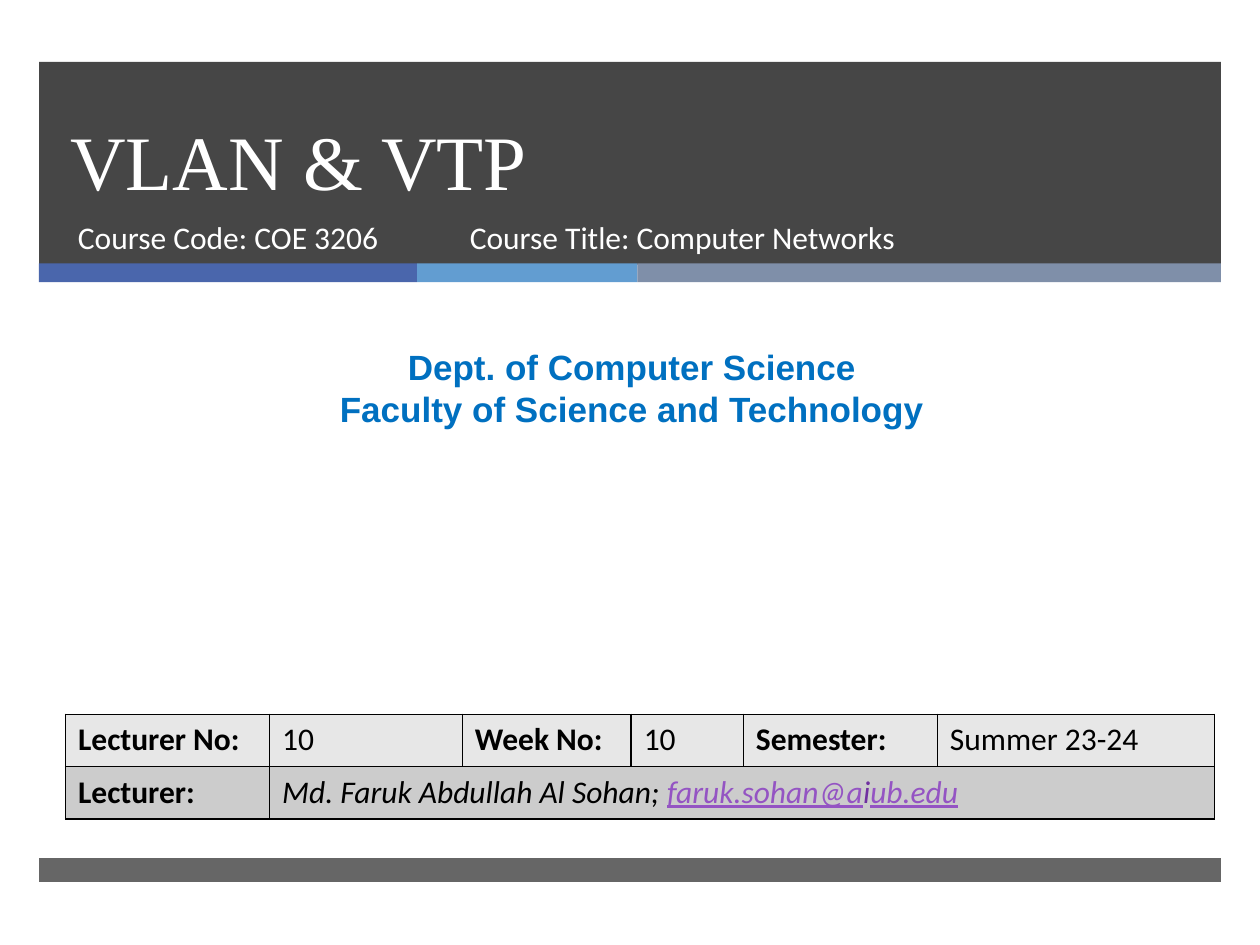
from lxml import etree
from pptx import Presentation
from pptx.dml.color import RGBColor
from pptx.enum.shapes import MSO_SHAPE
from pptx.enum.text import MSO_ANCHOR, PP_ALIGN
from pptx.oxml.ns import qn
from pptx.util import Inches, Pt

RECT = MSO_SHAPE.RECTANGLE
TOP, BOTTOM = MSO_ANCHOR.TOP, MSO_ANCHOR.BOTTOM
LEFT, CENTER = PP_ALIGN.LEFT, PP_ALIGN.CENTER

WHITE = RGBColor(0xFF, 0xFF, 0xFF)
BLACK = RGBColor(0, 0, 0)
DARK = RGBColor(0x26, 0x26, 0x26)
NAVY = RGBColor(0x4A, 0x66, 0xAC)
SKY = RGBColor(0x62, 0x9D, 0xD1)
SLATE = RGBColor(0x7F, 0x8F, 0xA9)
BLUE = RGBColor(0x00, 0x70, 0xC0)
LILAC = RGBColor(0x94, 0x54, 0xC3)
PURPLE = RGBColor(0x70, 0x30, 0xA0)
PALE = RGBColor(0xE7, 0xE7, 0xE7)
GREY = RGBColor(0xCC, 0xCC, 0xCC)

EDGE = 0.31
BODY = {"name": "Calibri", "size": Pt(18)}
ITALIC = {**BODY, "italic": True}
LINK = {**ITALIC, "underline": True}

STRIPE = [(3, NAVY), (1.75, SKY), (4.63, SLATE)]
COLS = [1.62, 1.53, 1.34, 0.89, 1.54, 2.2]
FACTS = ["Lecturer No:", "10", "Week No:", "10", "Semester:", "Summer 23-24"]
LECTURER = [
    ("Md. Faruk Abdullah Al Sohan; ", BLACK, ITALIC),
    ("faruk.sohan@a", LILAC, LINK),
    ("i", PURPLE, ITALIC),
    ("ub.edu", LILAC, LINK),
]


def add_bar(slide, x, y, w, h, color, alpha=100):
    bar = slide.shapes.add_shape(RECT, Inches(x), Inches(y), Inches(w), Inches(h))
    bar.shadow.inherit = False
    bar.fill.solid()
    bar.fill.fore_color.rgb = color
    bar.line.fill.background()
    if alpha < 100:
        tint = next(bar.element.iter(qn("a:srgbClr")))
        etree.SubElement(tint, qn("a:alpha"), val=str(alpha * 1000))


def add_run(para, text, color, style):
    run = para.add_run()
    run.text = text
    for key, value in style.items():
        setattr(run.font, key, value)
    run.font.color.rgb = color


def add_text(slide, x, y, w, h, lines, color, style,
             align=LEFT, anchor=TOP, spacing=None):
    box = slide.shapes.add_textbox(Inches(x), Inches(y), Inches(w), Inches(h))
    frame = box.text_frame
    frame.word_wrap = True
    frame.vertical_anchor = anchor
    for i, line in enumerate(lines):
        para = frame.add_paragraph() if i else frame.paragraphs[0]
        para.alignment = align
        para.line_spacing = spacing
        add_run(para, line, color, style)


def style_cell(cell, color):
    """Fill the cell and rule all four sides in black."""
    props = cell._tc.get_or_add_tcPr()
    for side in ("a:lnL", "a:lnR", "a:lnT", "a:lnB"):
        line = etree.SubElement(props, qn(side), w=str(Pt(1)))
        fill = etree.SubElement(line, qn("a:solidFill"))
        etree.SubElement(fill, qn("a:srgbClr"), val=str(BLACK))
    cell.fill.solid()
    cell.fill.fore_color.rgb = color


def add_facts(slide):
    frame = slide.shapes.add_table(2, len(COLS), Inches(0.52), Inches(5.67),
                                   Inches(sum(COLS)), Inches(0.83))
    table = frame.table
    for col, width in zip(table.columns, COLS):
        col.width = Inches(width)
    for row, color in zip(table.rows, (PALE, GREY)):
        for cell in row.cells:
            style_cell(cell, color)
    table.cell(1, 1).merge(table.cell(1, len(COLS) - 1))

    for i, text in enumerate(FACTS):
        para = table.cell(0, i).text_frame.paragraphs[0]
        add_run(para, text, BLACK, {**BODY, "bold": i % 2 == 0})
    label, names = (table.cell(1, i).text_frame.paragraphs[0] for i in (0, 1))
    add_run(label, "Lecturer:", BLACK, {**BODY, "bold": True})
    for part in LECTURER:
        add_run(names, *part)


def main():
    deck = Presentation()
    deck.slide_width, deck.slide_height = Inches(10), Inches(7.5)
    slide = deck.slides.add_slide(deck.slide_layouts[6])

    add_bar(slide, EDGE, 0.49, 9.38, 1.61, DARK, 85)
    x = EDGE
    for width, color in STRIPE:
        add_bar(slide, x, 2.09, width, 0.15, color)
        x += width
    add_bar(slide, EDGE, 6.81, 9.38, 0.19, DARK, 70)

    add_text(slide, 0.46, 0.49, 8.54, 1.19, ["VLAN & VTP"], WHITE,
             {"name": "Times New Roman", "size": Pt(44)},
             anchor=BOTTOM, spacing=Pt(46))
    add_text(slide, 0.52, 1.68, 3.05, 0.53, ["Course Code: COE 3206"], WHITE, BODY)
    add_text(slide, 3.63, 1.68, 4.55, 0.53, ["Course Title: Computer Networks"],
             WHITE, BODY)
    add_text(slide, 0.08, 2.69, 9.87, 0.77,
             ["Dept. of Computer Science", "Faculty of Science and Technology"],
             BLUE, {"name": "Arial", "size": Pt(20), "bold": True},
             align=CENTER, spacing=Pt(24))
    add_facts(slide)
    deck.save("out.pptx")


if __name__ == "__main__":
    main()
